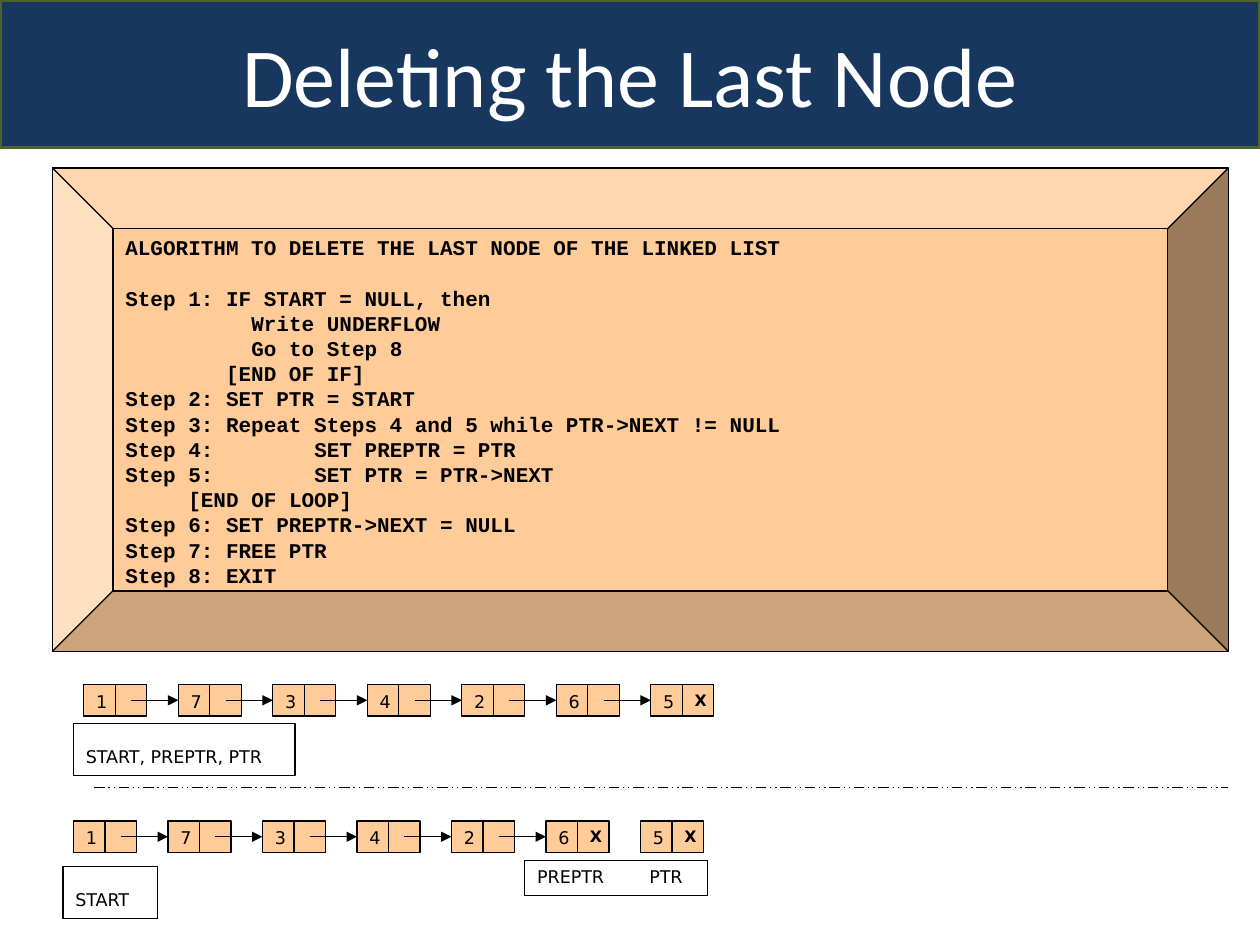
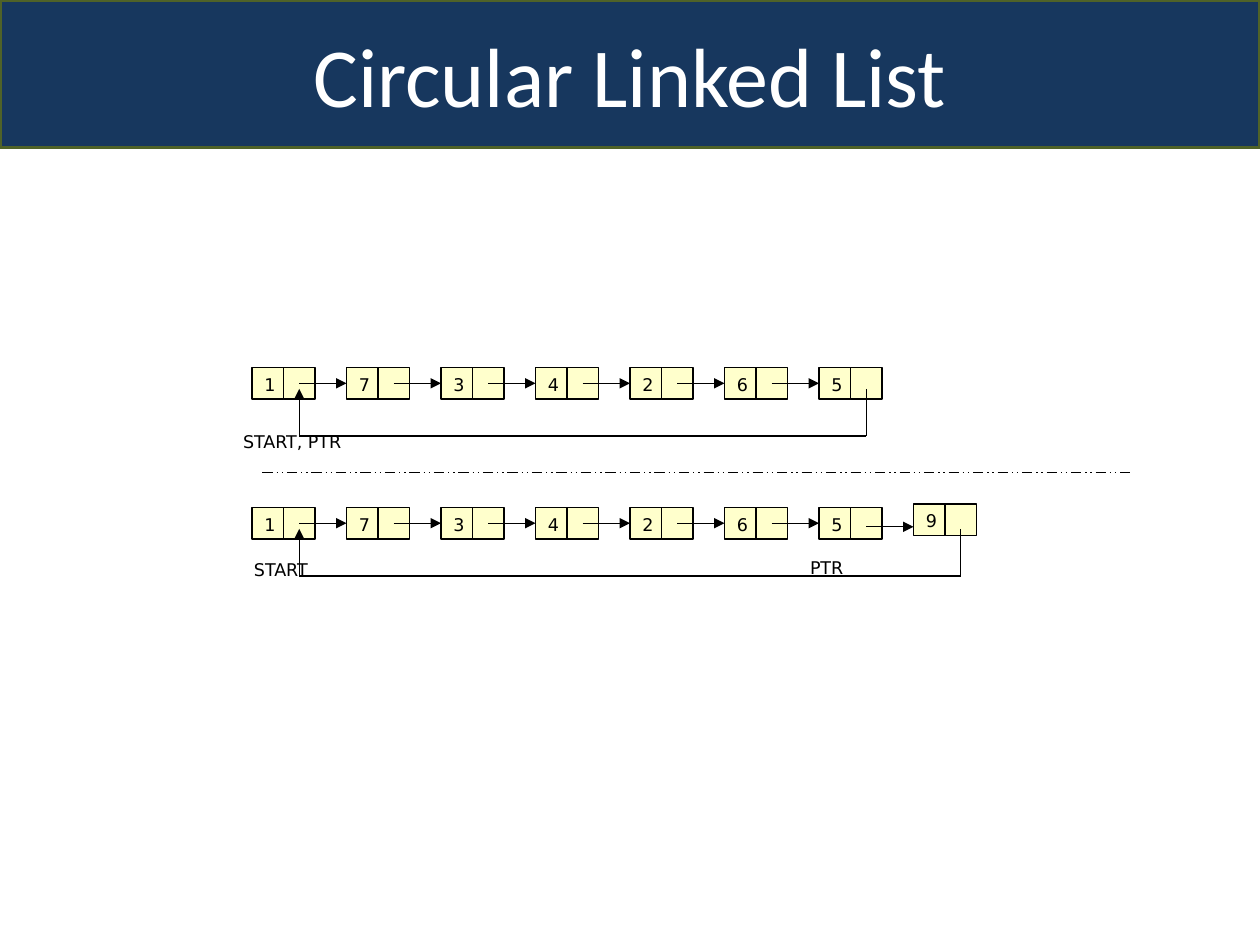
from lxml.etree import SubElement
from pptx import Presentation
from pptx.dml.color import RGBColor
from pptx.enum.dml import MSO_LINE
from pptx.enum.shapes import MSO_CONNECTOR, MSO_SHAPE
from pptx.enum.text import MSO_ANCHOR, MSO_AUTO_SIZE, PP_ALIGN
from pptx.oxml.ns import qn
from pptx.util import Cm, Pt

NAVY = RGBColor(0x17, 0x37, 0x5E)
OLIVE = RGBColor(0x4F, 0x62, 0x28)
WHITE = RGBColor(0xFF, 0xFF, 0xFF)
BLACK = RGBColor(0, 0, 0)
PEACH = RGBColor(0xFF, 0xCC, 0x99)
CREAM = RGBColor(0xFF, 0xFF, 0xCC)

TITLE_FONT, CODE_FONT, DIAGRAM_FONT = "Calibri", "Courier New", "DejaVu Sans"
SLIDE_WIDTH, SLIDE_HEIGHT = Cm(25.4), Cm(19.05)
BAND_HEIGHT = Cm(2.97)
THIN = Pt(0.75)
CODE_LEADING = Pt(14.4)

CELL = Cm(2.54) // 4      # a node is a value cell and a pointer cell
NODE_PITCH = 3 * CELL     # two cells and a gap of one
LOOP_START, LOOP_BOTTOM = Cm(0.43), Cm(1.38)

ALGORITHM_HEADING = "ALGORITHM TO DELETE THE LAST NODE OF THE LINKED LIST"
ALGORITHM_STEPS = [
    "Step 1: IF START = NULL, then",
    "\t\tWrite UNDERFLOW",
    "\t\tGo to Step 8",
    "        [END OF IF]",
    "Step 2: SET PTR = START",
    "Step 3: Repeat Steps 4 and 5 while PTR->NEXT != NULL",
    "Step 4: \t\tSET PREPTR = PTR",
    "Step 5: \t\tSET PTR = PTR->NEXT",
    "\t[END OF LOOP]",
    "Step 6: SET PREPTR->NEXT = NULL",
    "Step 7: FREE PTR",
    "Step 8: EXIT",
]


def style_font(paragraph, name, size, color=BLACK, bold=False):
    font = paragraph.font
    font.name, font.size, font.bold = name, Pt(size), bold
    font.color.rgb = color


def style_outline(shape, color=BLACK, width=THIN):
    shape.line.color.rgb = color
    shape.line.width = width


def add_titled_slide(deck, heading):
    slide = deck.slides.add_slide(deck.slide_layouts[5])
    band = slide.shapes.title
    band.left, band.top, band.width, band.height = 0, 0, SLIDE_WIDTH, BAND_HEIGHT
    band.fill.solid()
    band.fill.fore_color.rgb = NAVY
    style_outline(band, OLIVE, Pt(2))
    frame = band.text_frame
    frame.text = heading
    frame.auto_size = MSO_AUTO_SIZE.NONE
    frame.vertical_anchor = MSO_ANCHOR.MIDDLE
    frame.paragraphs[0].alignment = PP_ALIGN.CENTER
    style_font(frame.paragraphs[0], TITLE_FONT, 48, WHITE)
    return slide


def add_block(shapes, preset, left, top, width, height, fill):
    block = shapes.add_shape(preset, left, top, width, height)
    block.shadow.inherit = False
    block.fill.solid()
    block.fill.fore_color.rgb = fill
    style_outline(block)
    block.text_frame.vertical_anchor = MSO_ANCHOR.TOP
    return block


def add_line(shapes, start, end, arrow=False):
    line = shapes.add_connector(MSO_CONNECTOR.STRAIGHT, *start, *end)
    style_outline(line)
    if arrow:
        SubElement(line.line._get_or_add_ln(), qn("a:tailEnd"), type="triangle")
    SubElement(line._element.spPr, qn("a:effectLst"))
    return line


def add_divider(slide, left, top, width):
    divider = add_line(slide.shapes, (left, top), (left + width, top))
    divider.line.dash_style = MSO_LINE.DASH_DOT_DOT


def add_algorithm(slide, left, top, width, height):
    panel = add_block(slide.shapes, MSO_SHAPE.BEVEL, left, top, width, height, PEACH)
    frame = panel.text_frame
    frame.text = "\n".join([ALGORITHM_HEADING, *ALGORITHM_STEPS])
    for step in frame.paragraphs:
        step.alignment = PP_ALIGN.LEFT
        step.line_spacing = CODE_LEADING
        style_font(step, CODE_FONT, 12, bold=True)
    frame.paragraphs[0].space_after = CODE_LEADING


def add_node(shapes, left, top, value, fill, is_null=False):
    pointer = "X" if is_null else ""
    for column, (content, size) in enumerate([(value, 10), (pointer, 9)]):
        cell = add_block(shapes, MSO_SHAPE.RECTANGLE, left + column * CELL, top,
                         CELL, CELL, fill)
        if content:
            cell.text_frame.text = content
            paragraph = cell.text_frame.paragraphs[0]
            paragraph.alignment = PP_ALIGN.LEFT
            style_font(paragraph, DIAGRAM_FONT, size, bold=column == 1)


def pointer_x(list_left, index):
    """Middle of the pointer cell of the node at this index."""
    return list_left + index * NODE_PITCH + CELL * 3 // 2


def add_link(shapes, list_left, index, y):
    """Arrow from the node at this index to the next one."""
    add_line(shapes, (pointer_x(list_left, index), y),
             (list_left + (index + 1) * NODE_PITCH, y), arrow=True)


def add_linked_list(slide, left, top, values, fill, null_values=""):
    """Row of nodes; those in null_values hold X and point nowhere."""
    shapes = slide.shapes.add_group_shape().shapes
    for index, value in enumerate(values):
        is_null = value in null_values
        add_node(shapes, left + index * NODE_PITCH, top, value, fill, is_null)
        if not is_null and index < len(values) - 1:
            add_link(shapes, left, index, top + CELL // 2)
    return shapes


def add_return_loop(shapes, left, top, last_index):
    """Path from the last node back under the list to the first one."""
    first_x, last_x = pointer_x(left, 0), pointer_x(left, last_index)
    start, bottom = top + LOOP_START, top + LOOP_BOTTOM
    add_line(shapes, (last_x, start), (last_x, bottom))
    add_line(shapes, (last_x, bottom), (first_x, bottom))
    add_line(shapes, (first_x, bottom), (first_x, start), arrow=True)


def add_label(slide, left, top, width, height, text, boxed=False, tab_stop=None):
    label = slide.shapes.add_textbox(left, top, width, height)
    if boxed:
        style_outline(label)
    frame = label.text_frame
    frame.text = text
    frame.word_wrap = True
    frame.vertical_anchor = MSO_ANCHOR.BOTTOM
    frame.margin_bottom = Cm(0.17)
    paragraph = frame.paragraphs[0]
    if tab_stop:
        tabs = SubElement(paragraph._p.get_or_add_pPr(), qn("a:tabLst"))
        SubElement(tabs, qn("a:tab"), pos=str(int(tab_stop)), algn="l")
    style_font(paragraph, DIAGRAM_FONT, 10)


def build_deletion_slide(deck):
    slide = add_titled_slide(deck, "Deleting the Last Node")
    add_algorithm(slide, Cm(1.06), Cm(3.39), Cm(23.7), Cm(9.74))

    add_linked_list(slide, Cm(1.69), Cm(13.8), "1734265", PEACH, null_values="5")
    add_label(slide, Cm(1.48), Cm(14.58), Cm(4.47), Cm(1.05),
              "START, PREPTR, PTR", boxed=True)
    add_divider(slide, Cm(1.9), Cm(15.88), Cm(22.86))

    add_linked_list(slide, Cm(1.48), Cm(16.55), "1734265", PEACH, null_values="65")
    add_label(slide, Cm(10.58), Cm(17.35), Cm(3.68), Cm(0.7),
              "PREPTR\tPTR", boxed=True, tab_stop=Cm(2.26))
    add_label(slide, Cm(1.27), Cm(17.47), Cm(1.9), Cm(1.05), "START", boxed=True)


def build_circular_slide(deck):
    slide = add_titled_slide(deck, "Circular Linked List")
    values = "1734265"
    list_left, before_top, after_top = Cm(5.08), Cm(7.41), Cm(10.23)
    new_index = len(values)

    before = add_linked_list(slide, list_left, before_top, values, CREAM)
    add_return_loop(before, list_left, before_top, new_index - 1)
    add_label(slide, Cm(4.65), Cm(8.26), Cm(2.82), Cm(1.02), "START, PTR")
    add_divider(slide, Cm(5.29), Cm(9.53), Cm(17.5))

    after = add_linked_list(slide, list_left, after_top, values, CREAM)
    add_node(after, list_left + new_index * NODE_PITCH, after_top - Cm(0.07),
             "9", CREAM)
    add_link(after, list_left, new_index - 1, after_top + Cm(0.39))
    add_return_loop(after, list_left, after_top, new_index)
    add_label(slide, Cm(4.87), Cm(11.18), Cm(1.68), Cm(0.69), "START")
    add_label(slide, Cm(16.08), Cm(10.8), Cm(1.42), Cm(1.02), "PTR")


def main():
    deck = Presentation()
    deck.slide_width, deck.slide_height = SLIDE_WIDTH, SLIDE_HEIGHT
    build_deletion_slide(deck)
    build_circular_slide(deck)
    deck.save("out.pptx")


if __name__ == "__main__":
    main()
